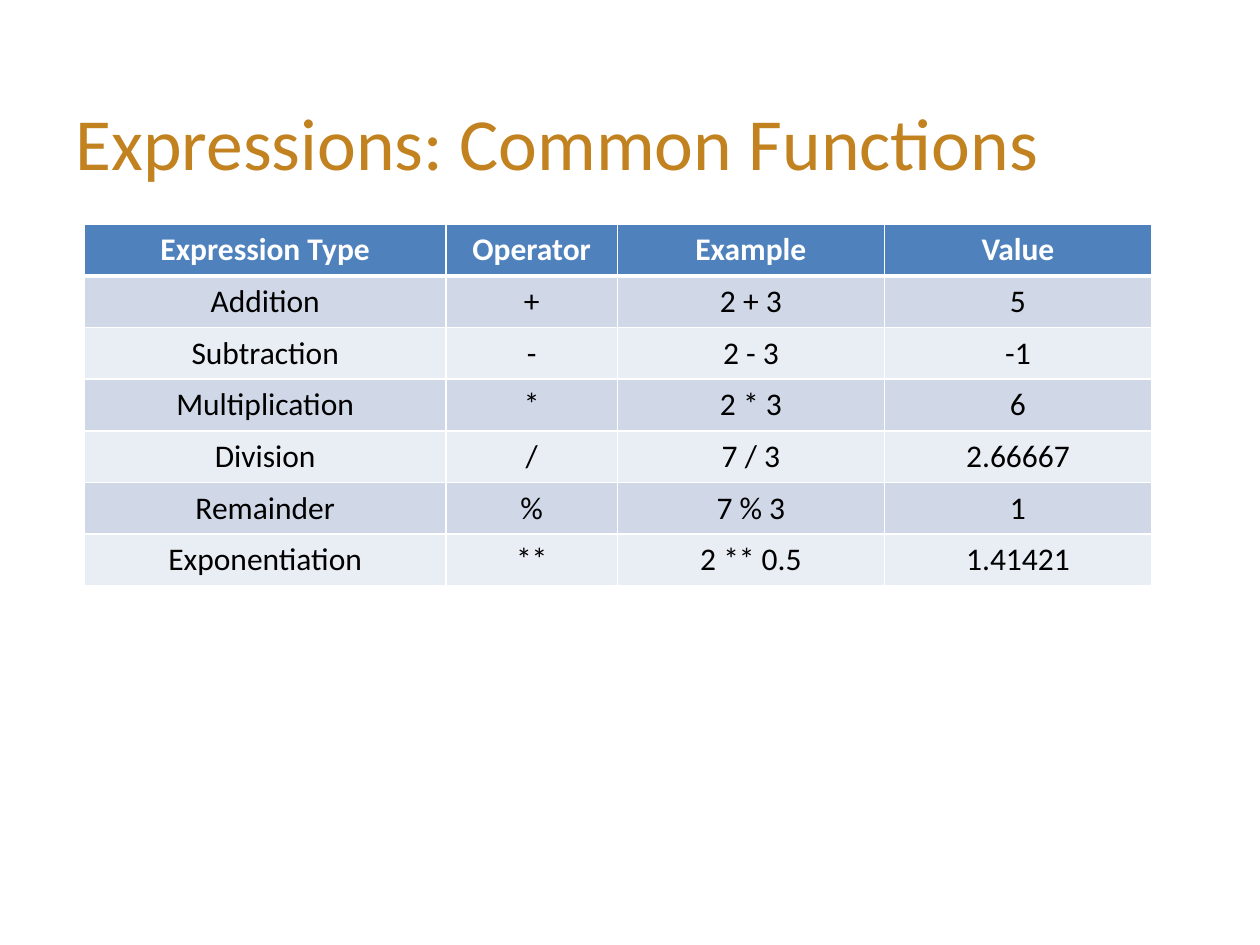
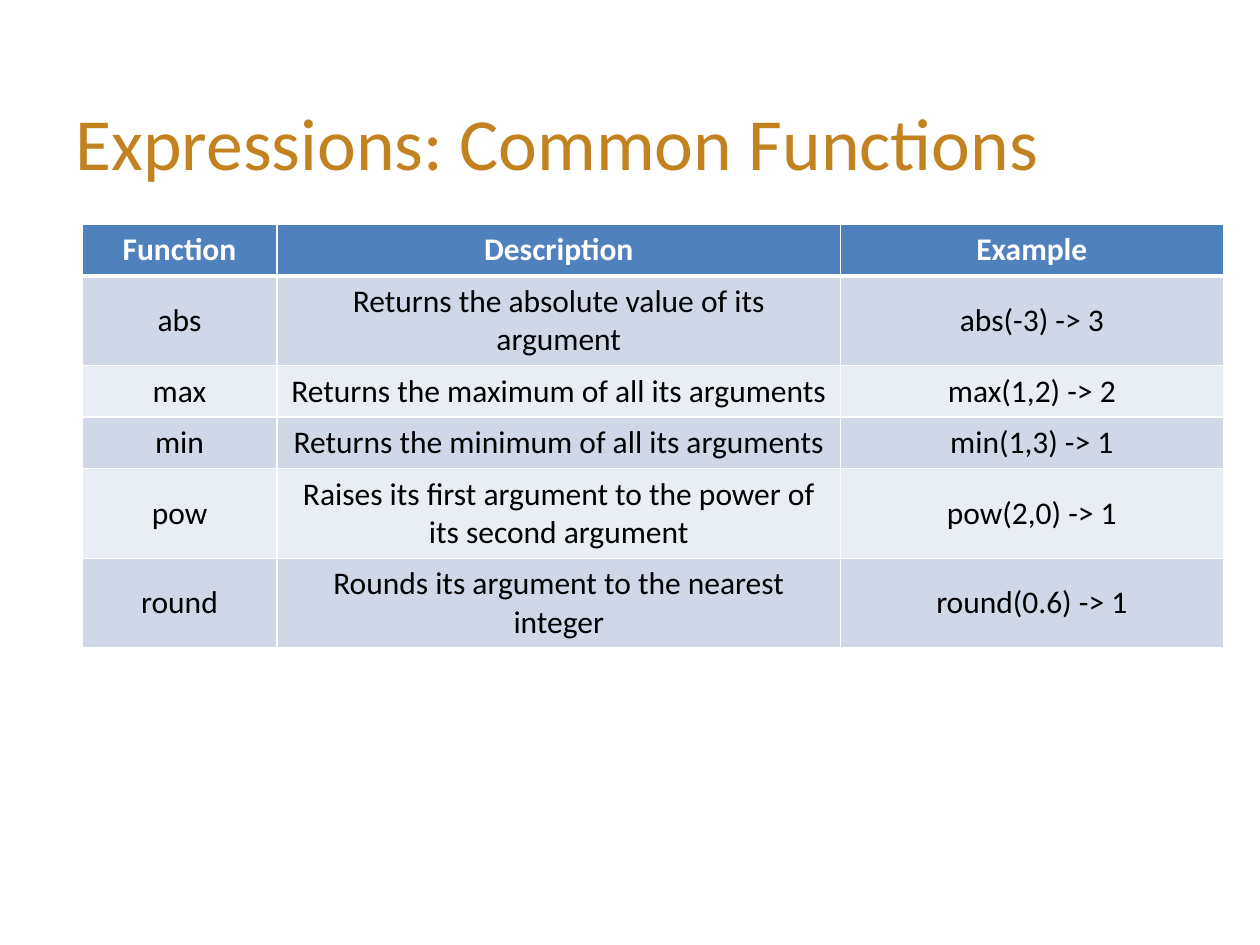
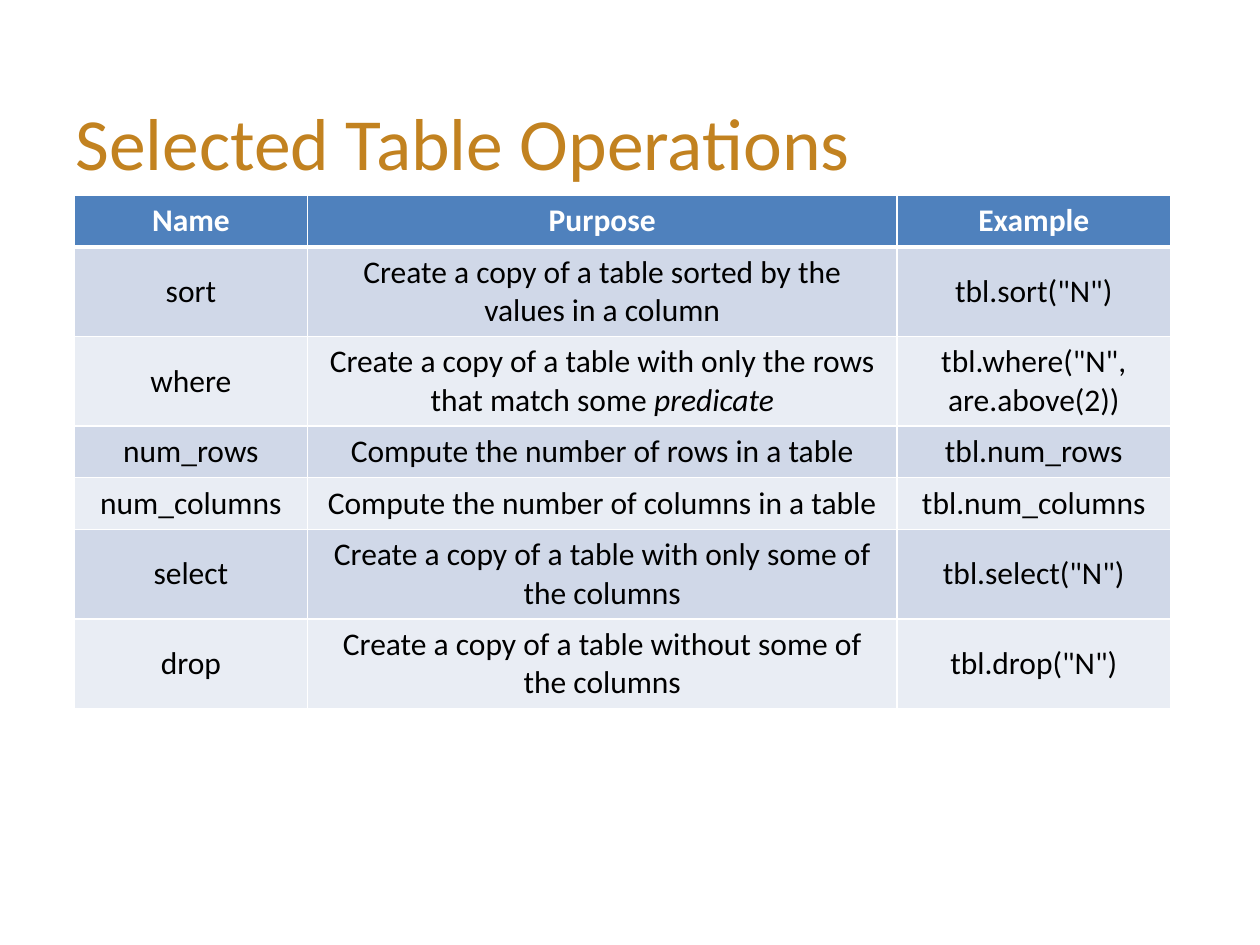
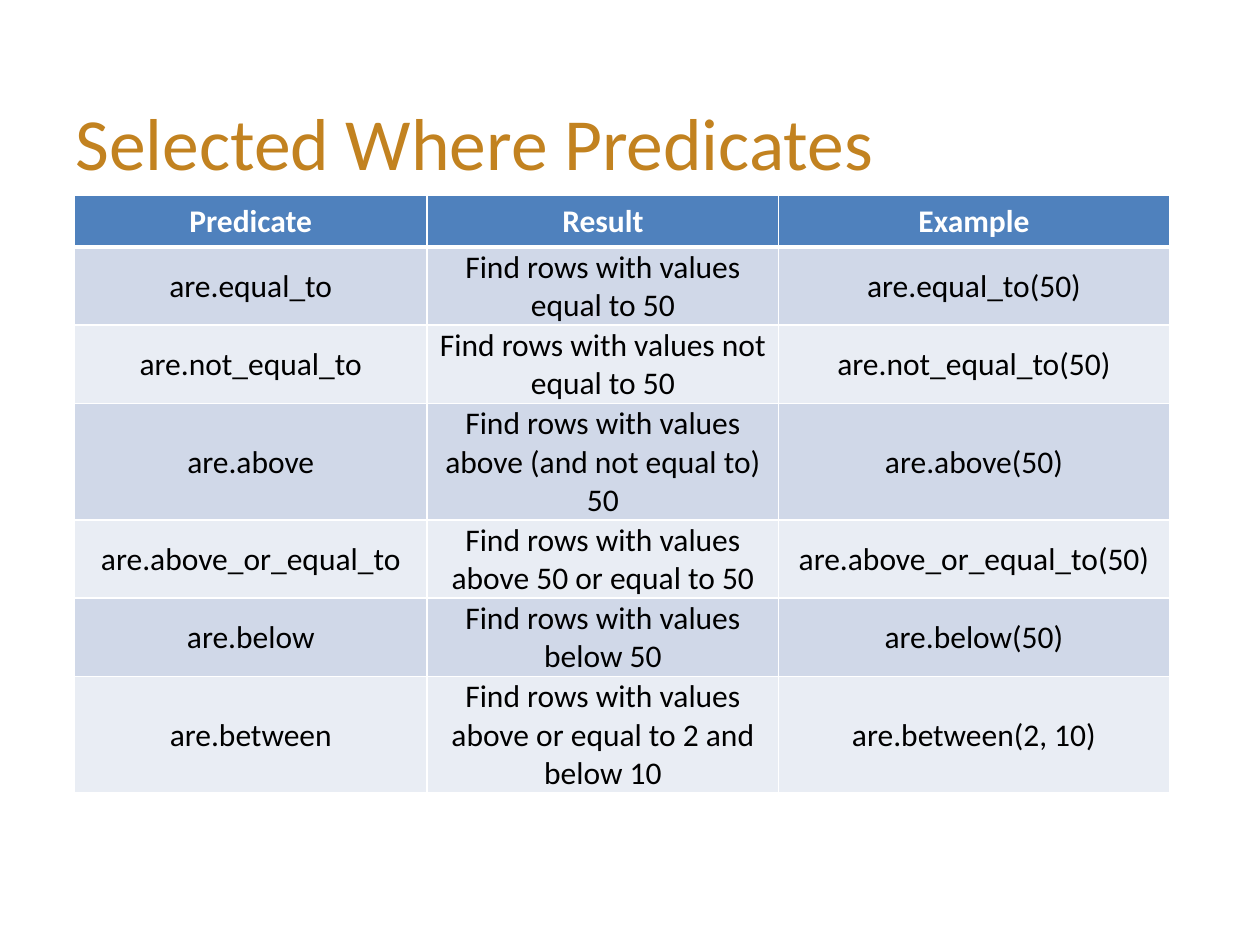
from pptx import Presentation, util as u
from pptx.dml.color import RGBColor
from pptx.enum import text
from pptx.oxml import parse_xml
from pptx.oxml.ns import nsdecls

INK = {
    "title": "C28220",
    "head": "4F81BD",
    "odd": "D0D8E8",
    "even": "E9EDF4",
    "light": "FFFFFF",
    "dark": "000000",
}


class Deck:
    font = "Calibri"
    row_high = 0.41

    def __init__(self):
        self.prs = Presentation()
        self.prs.slide_width = u.Inches(10)
        self.prs.slide_height = u.Inches(7.5)
        self.slide = None

    def run(self, par, words, size, ink, bold=False, slant=False):
        run = par.add_run()
        run.text = words
        font = run.font
        font.name = self.font
        font.size = u.Pt(size)
        font.bold = bold
        font.italic = slant
        font.color.rgb = RGBColor.from_string(INK[ink])

    def page(self, words):
        self.slide = self.prs.slides.add_slide(self.prs.slide_layouts[5])
        title = self.slide.shapes.title
        title.left, title.top = u.Inches(0.5), u.Inches(0.49)
        title.width, title.height = u.Inches(9.06), u.Inches(1.26)
        title.text_frame.vertical_anchor = text.MSO_ANCHOR.MIDDLE
        par = title.text_frame.paragraphs[0]
        par.alignment = text.PP_ALIGN.LEFT
        self.run(par, words, 42, "title")

    def edges(self, cell, top, base):
        props = cell._tc.get_or_add_tcPr()
        sides = {"L": 1, "R": 1, "T": top, "B": base}
        for spot, (side, wide) in enumerate(sides.items()):
            props.insert(spot, parse_xml(
                f'<a:ln{side} {nsdecls("a")} w="{u.Pt(wide)}"><a:solidFill>'
                f'<a:srgbClr val="{INK["light"]}"/></a:solidFill></a:ln{side}>'))

    def cell(self, cell, words, row, anchor, tight):
        head = row == 0
        fill = "head" if head else "odd" if row % 2 else "even"
        cell.fill.solid()
        cell.fill.fore_color.rgb = RGBColor.from_string(INK[fill])
        self.edges(cell, 3 if row == 1 else 1, 3 if head else 1)
        cell.vertical_anchor = anchor
        if tight:
            cell.margin_left = cell.margin_top = cell.margin_right = u.Inches(0.01)
            cell.margin_bottom = 0
        par = cell.text_frame.paragraphs[0]
        par.alignment = text.PP_ALIGN.CENTER
        for part, bit in enumerate(words.split("_|_")):
            self.run(par, bit, 18, "light" if head else "dark", head, part == 1)

    def table(self, left, top, wides, rows, head=text.MSO_ANCHOR.MIDDLE, tight=False):
        frame = self.slide.shapes.add_table(
            len(rows), len(wides), u.Inches(left), u.Inches(top),
            u.Inches(sum(wides)), u.Inches(self.row_high * len(rows)))
        grid = frame.table
        grid.horz_banding = False
        for col, wide in zip(grid.columns, wides):
            col.width = u.Inches(wide)
        for r, row in enumerate(rows):
            grid.rows[r].height = u.Inches(self.row_high)
            anchor = text.MSO_ANCHOR.MIDDLE if r else head
            for c, words in enumerate(row):
                self.cell(grid.cell(r, c), words, r, anchor, tight)


def main():
    deck = Deck()

    deck.page("Expressions: Common Functions")
    deck.table(0.67, 1.78, [2.87, 1.36, 2.12, 2.12], [
        ("Expression Type", "Operator", "Example", "Value"),
        ("Addition", "+", "2 + 3", "5"),
        ("Subtraction", "-", "2 - 3", "-1"),
        ("Multiplication", "*", "2 * 3", "6"),
        ("Division", "/", "7 / 3", "2.66667"),
        ("Remainder", "%", "7 % 3", "1"),
        ("Exponentiation", "**", "2 ** 0.5", "1.41421"),
    ])

    deck.page("Expressions: Common Functions")
    deck.table(0.65, 1.78, [1.55, 4.47, 3.04], [
        ("Function", "Description", "Example"),
        ("abs", "Returns the absolute value of its argument", "abs(-3) -> 3"),
        ("max", "Returns the maximum of all its arguments", "max(1,2) -> 2"),
        ("min", "Returns the minimum of all its arguments", "min(1,3) -> 1"),
        ("pow", "Raises its first argument to the power of its second argument",
         "pow(2,0) -> 1"),
        ("round", "Rounds its argument to the nearest integer", "round(0.6) -> 1"),
    ], head=text.MSO_ANCHOR.TOP)

    deck.page("Selected Table Operations")
    deck.table(0.59, 1.55, [1.85, 4.68, 2.17], [
        ("Name", "Purpose", "Example"),
        ("sort", "Create a copy of a table sorted by the values in a column",
         'tbl.sort("N")'),
        ("where",
         "Create a copy of a table with only the rows that match some _|_predicate",
         'tbl.where("N", are.above(2))'),
        ("num_rows", "Compute the number of rows in a table", "tbl.num_rows"),
        ("num_columns", "Compute the number of columns in a table",
         "tbl.num_columns"),
        ("select", "Create a copy of a table with only some of the columns",
         'tbl.select("N")'),
        ("drop", "Create a copy of a table without some of the columns",
         'tbl.drop("N")'),
    ])

    deck.page("Selected Where Predicates")
    tests = [
        ("equal_to", "equal to 50", "50"),
        ("not_equal_to", "not equal to 50", "50"),
        ("above", "above (and not equal to) 50", "50"),
        ("above_or_equal_to", "above 50 or equal to 50", "50"),
        ("below", "below 50", "50"),
        ("between", "above or equal to 2 and below 10", "2, 10"),
    ]
    rows = [(f"are.{name}", f"Find rows with values {rule}", f"are.{name}({args})")
            for name, rule, args in tests]
    deck.table(0.59, 1.55, [2.8, 2.79, 3.1],
               [("Predicate", "Result", "Example"), *rows], tight=True)

    deck.prs.save("out.pptx")


if __name__ == "__main__":
    main()
